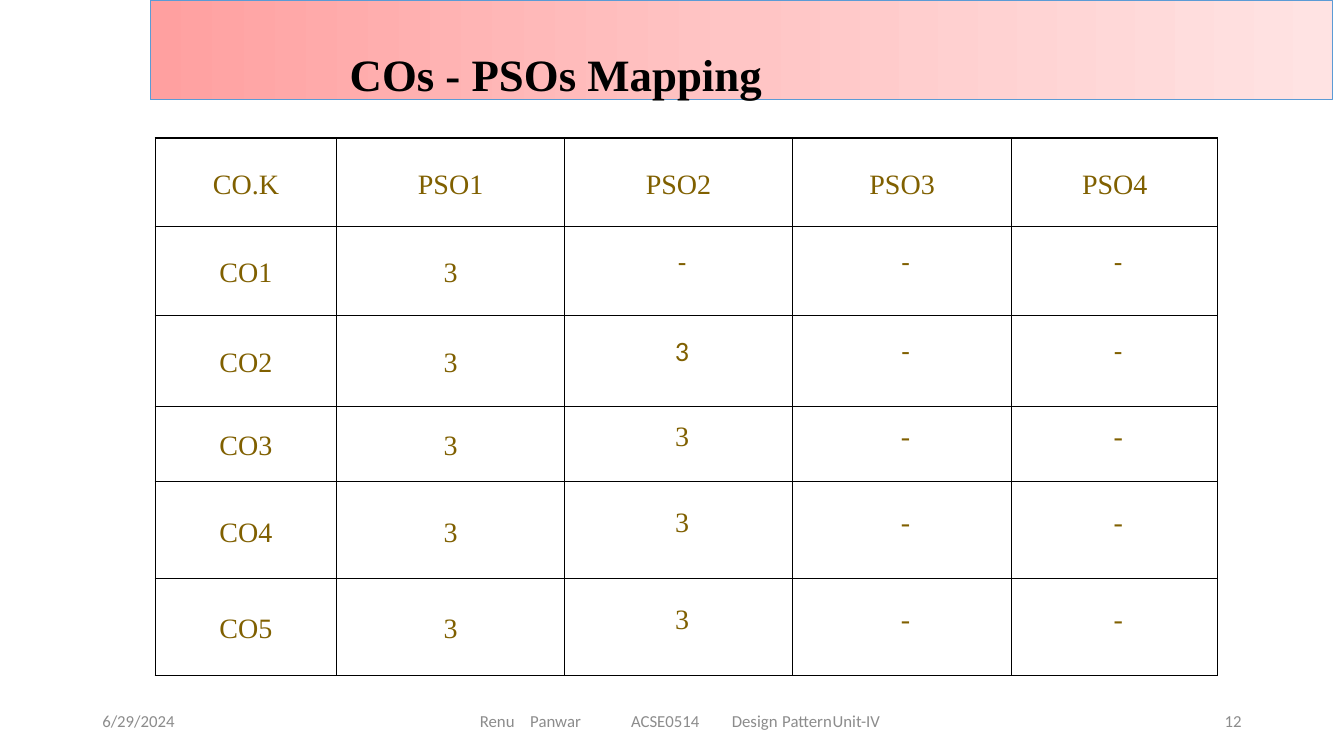
from copy import deepcopy

from pptx import Presentation
from pptx.dml.color import RGBColor
from pptx.enum.shapes import MSO_SHAPE
from pptx.enum.text import MSO_ANCHOR, MSO_AUTO_SIZE, PP_ALIGN
from pptx.oxml.ns import qn
from pptx.util import Pt
from lxml import etree

RECT = MSO_SHAPE.RECTANGLE
TOP, MID = MSO_ANCHOR.TOP, MSO_ANCHOR.MIDDLE
GROW = MSO_AUTO_SIZE.SHAPE_TO_FIT_TEXT
LEFT, MIDST, RIGHT = PP_ALIGN.LEFT, PP_ALIGN.CENTER, PP_ALIGN.RIGHT

BLACK = RGBColor(0x00, 0x00, 0x00)
WHITE = RGBColor(0xFF, 0xFF, 0xFF)
GRAY = RGBColor(0x8C, 0x8C, 0x8C)
GOLD = RGBColor(0x80, 0x60, 0x00)
BLUE = RGBColor(0x5B, 0x9B, 0xD5)
ROSE = RGBColor(0xFF, 0xA0, 0xA0)
PINK = RGBColor(0xFF, 0xC5, 0xC5)
BLUSH = RGBColor(0xFF, 0xE3, 0xE3)

SANS, SERIF = "Calibri", "Times New Roman"
HEAD = {"name": SERIF, "size": Pt(32), "bold": True}
FOOT = {"name": SANS, "size": Pt(12)}
CELL = {"size": Pt(20)}


def apply(item, style):
    for key, value in style.items():
        setattr(item, key, value)


class Board:
    def __init__(self, slide):
        self.shapes = slide.shapes
        self.inset = {"margin_left": Pt(5), "margin_right": Pt(5),
                      "margin_top": 0, "margin_bottom": 0,
                      "vertical_anchor": MID}
        self.edge = Pt(1)

    def label(self, para, text, font, color, style):
        apply(para, style)
        run = para.add_run()
        run.text = text
        apply(run.font, font)
        run.font.color.rgb = color

    def banner(self, area, colors):
        shape = self.shapes.add_shape(RECT, *map(Pt, area))
        shape.shadow.inherit = False
        shape.line.color.rgb = BLUE
        shape.line.width = Pt(0.5)
        fill = shape.fill
        fill.gradient()
        fill.gradient_angle = 0
        stops = shape.element.spPr.find(".//" + qn("a:gsLst"))
        stops.append(deepcopy(stops[0]))
        for i, (stop, color) in enumerate(zip(fill.gradient_stops, colors)):
            stop.position = i / (len(colors) - 1)
            stop.color.rgb = color

    def text(self, area, text, font, color, style, frame, tabs=()):
        body = self.shapes.add_textbox(*map(Pt, area)).text_frame
        apply(body, {"word_wrap": True, **frame})
        para = body.paragraphs[0]
        if tabs:
            props = para._p.get_or_add_pPr()
            props.set("marL", str(Pt(tabs[0])))
            props.set("indent", "0")
            stops = etree.SubElement(props, qn("a:tabLst"))
            for tab in tabs[1:]:
                etree.SubElement(stops, qn("a:tab"), pos=str(Pt(tab)), algn="l")
        self.label(para, text, font, color, style)

    def border(self, cell):
        props = cell._tc.get_or_add_tcPr()
        for i, side in enumerate(("lnL", "lnR", "lnT", "lnB")):
            line = etree.Element(qn("a:" + side), w=str(self.edge))
            fill = etree.SubElement(line, qn("a:solidFill"))
            etree.SubElement(fill, qn("a:srgbClr"), val=str(BLACK))
            props.insert(i, line)

    def table(self, spot, cols, rows, data, sans):
        size = sum(cols), sum(rows)
        grid = self.shapes.add_table(
            len(rows), len(cols), *map(Pt, (*spot, *size))).table
        apply(grid, {"first_row": False, "horz_banding": False})
        for col, width in zip(grid.columns, cols):
            col.width = Pt(width)
        for row, height in zip(grid.rows, rows):
            row.height = Pt(height)
        for r, line in enumerate(data):
            for c, text in enumerate(line):
                cell = grid.cell(r, c)
                apply(cell, self.inset)
                cell.fill.solid()
                cell.fill.fore_color.rgb = WHITE
                self.border(cell)
                para = cell.text_frame.paragraphs[0]
                tight = r > 0 and c > 1
                if tight:
                    para._p.get_or_add_pPr().set("marL", str(Pt(5)))
                face = SANS if tight and r in sans else SERIF
                gap = Pt(12.3) if tight else 1.15
                self.label(para, text, {"name": face, **CELL}, GOLD,
                           {"alignment": MIDST, "line_spacing": gap})


def main():
    deck = Presentation()
    apply(deck, {"slide_width": Pt(960), "slide_height": Pt(540)})
    board = Board(deck.slides.add_slide(deck.slide_layouts[6]))

    board.banner((107.3, 0, 844.6, 71.3), (ROSE, PINK, BLUSH))

    foot = {"vertical_anchor": MID}
    words = "Renu\tPanwar\tACSE0514\tDesign\tPattern\tUnit-IV"
    tabs = (17.7, 51.2, 119.5, 211.5, 252.5, 328)
    for left, width, text, side, stops in (
            (66, 216, "6/29/2024", LEFT, ()),
            (318, 396, words, LEFT, tabs),
            (678, 216, "12", RIGHT, ())):
        board.text((left, 500.5, width, 28.8), text, FOOT, GRAY,
                   {"alignment": side}, foot, stops)

    data = [["CO.K"] + [f"PSO{n}" for n in range(1, 5)]]
    for n in range(1, 6):
        data.append([f"CO{n}", "3", "-" if n == 1 else "3", "-", "-"])
    board.table((110.9, 98.6), (129.6, 162.8, 162.8, 156.6, 147.2),
                (63.4, 63.4, 64.8, 54, 69.2, 69.2), data, sans=(1, 2))

    board.text((157, 27.4, 480.2, 46), "COs - PSOs Mapping", HEAD, BLACK,
               {"alignment": MIDST, "line_spacing": 1.07,
                "space_after": Pt(8)},
               {"vertical_anchor": TOP, "auto_size": GROW})

    deck.save("out.pptx")


if __name__ == "__main__":
    main()
